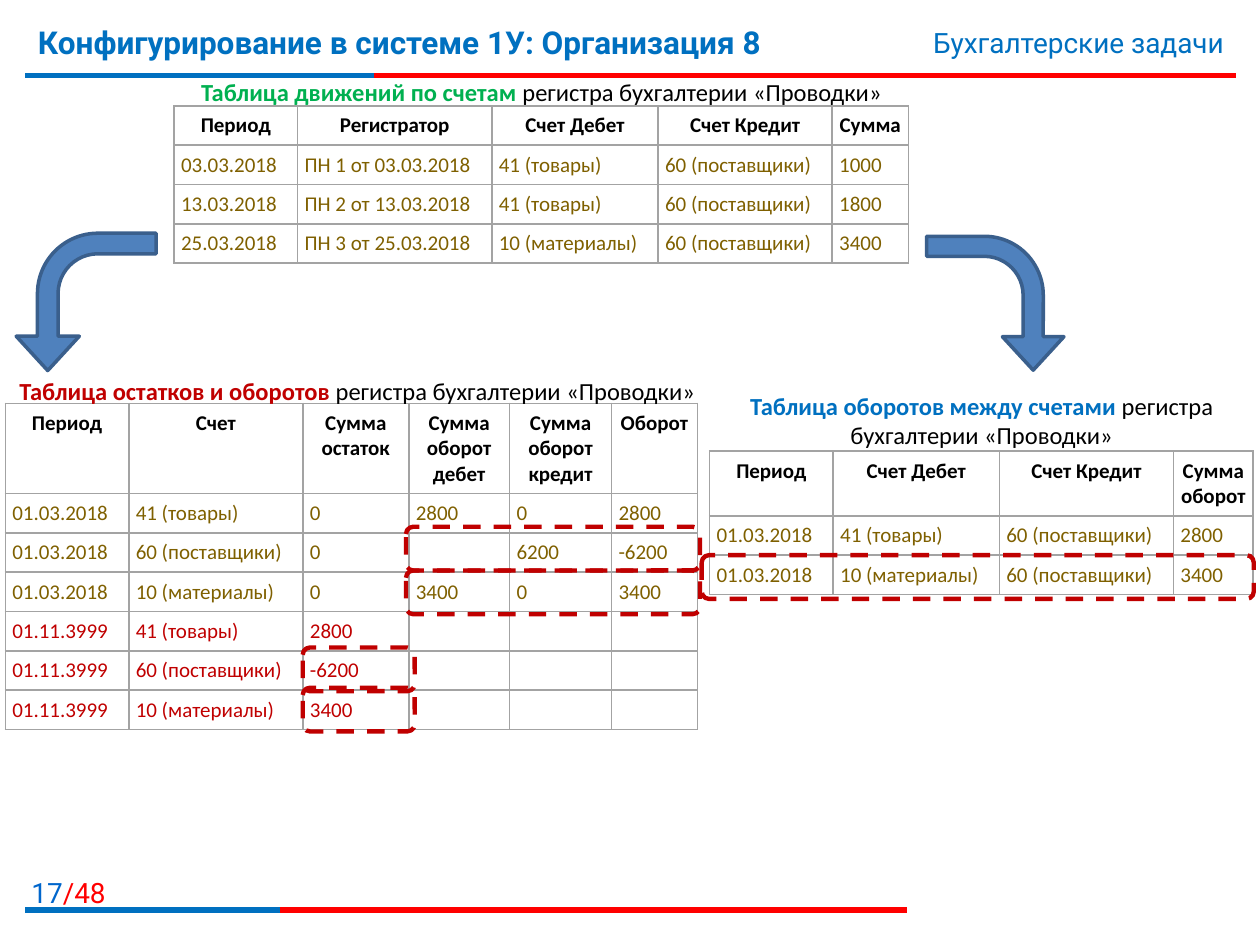
from lxml.etree import SubElement
from pptx import Presentation
from pptx.dml.color import RGBColor
from pptx.enum.dml import MSO_LINE
from pptx.enum.shapes import MSO_CONNECTOR, MSO_SHAPE
from pptx.enum.text import MSO_ANCHOR, MSO_AUTO_SIZE, PP_ALIGN
from pptx.oxml.ns import qn
from pptx.util import Pt

BLUE = RGBColor(0x00, 0x70, 0xC0)
PAGE_BLUE = RGBColor(0x00, 0x66, 0xCC)
RED = RGBColor(0xFF, 0x00, 0x00)
DARK_RED = RGBColor(0xC0, 0x00, 0x00)
GREEN = RGBColor(0x00, 0xB0, 0x50)
OLIVE = RGBColor(0x7F, 0x60, 0x00)
BLACK = RGBColor(0x00, 0x00, 0x00)
ARROW_FILL = RGBColor(0x4F, 0x81, 0xBD)
ARROW_LINE = RGBColor(0x3A, 0x5F, 0x8C)
BORDER = "A3A3A3"

ROW = 22.5
LINE = 14.5
PERIOD, DEBIT, CREDIT = 70.6, 95, 99.5


def set_font(font, name, size, color=None, bold=False):
    font.name, font.size, font.bold = name, Pt(size), bold
    if color is not None:
        font.color.rgb = color


def add_rule(slide, left, right, top, color):
    rule = slide.shapes.add_connector(
        MSO_CONNECTOR.STRAIGHT, Pt(left), Pt(top), Pt(right), Pt(top))
    rule.line.color.rgb = color
    rule.line.width = Pt(3)
    SubElement(rule._element.spPr, qn("a:effectLst"))


def add_text(slide, box, runs, name, size, align):
    frame = slide.shapes.add_textbox(*map(Pt, box)).text_frame
    frame.word_wrap = True
    paragraph = frame.paragraphs[0]
    paragraph.alignment = align
    set_font(paragraph.font, name, size)
    for words, color, bold in runs:
        run = paragraph.add_run()
        run.text = words
        run.font.color.rgb = color
        run.font.bold = bold


def add_header(slide, box):
    left, top, width, height = box
    title = slide.shapes.title
    title.left, title.top, title.width, title.height = map(
        Pt, (left, top, 533, height))
    frame = title.text_frame
    frame.text = "Конфигурирование в системе 1У: Организация 8"
    frame.vertical_anchor = MSO_ANCHOR.TOP
    frame.auto_size = MSO_AUTO_SIZE.NONE
    paragraph = frame.paragraphs[0]
    paragraph.alignment = PP_ALIGN.LEFT
    set_font(paragraph.font, "Roboto", 18, BLUE, True)
    add_text(slide, (left + width - 278, top + 1.5, 278, 27),
             [("Бухгалтерские задачи", BLUE, False)],
             "Roboto", 16, PP_ALIGN.RIGHT)
    add_rule(slide, left, left + width, 43, RED)
    add_rule(slide, left, left + 199, 43, BLUE)


def add_footer(slide, box):
    left, top, width, height = box
    add_text(slide, (left - 11, top, 64, height),
             [("17", PAGE_BLUE, False), ("/48", RED, False)],
             "Roboto", 16, PP_ALIGN.RIGHT)
    add_rule(slide, left, left + width, top + height, RED)
    add_rule(slide, left, left + 145.5, top + height, BLUE)


def format_cell(cell, words, color, is_header):
    cell.margin_left = cell.margin_right = Pt(4)
    cell.margin_top = cell.margin_bottom = Pt(4)
    properties = cell._tc.get_or_add_tcPr()
    for side in ("a:lnL", "a:lnR", "a:lnT", "a:lnB"):
        edge = SubElement(properties, qn(side), w=str(Pt(1)))
        edge_fill = SubElement(edge, qn("a:solidFill"))
        SubElement(edge_fill, qn("a:srgbClr"), val=BORDER)
    cell.fill.background()
    cell.text = words
    paragraph = cell.text_frame.paragraphs[0]
    paragraph.alignment = PP_ALIGN.CENTER if is_header else PP_ALIGN.LEFT
    set_font(paragraph.font, "Calibri", 12, color, is_header)
    if not words:
        SubElement(paragraph._p, qn("a:endParaRPr"), sz="1200")


def add_register(slide, left, top, widths, header_lines, rows, late_from=None):
    header_height = ROW + LINE * (header_lines - 1)
    heights = [header_height] + [ROW] * (len(rows) - 1)
    table = slide.shapes.add_table(
        len(rows), len(widths), Pt(left), Pt(top),
        Pt(sum(widths)), Pt(sum(heights))).table
    table.first_row = table.horz_banding = False
    for column, width in zip(table.columns, widths):
        column.width = Pt(width)
    for r, (row, height) in enumerate(zip(rows, heights)):
        table.rows[r].height = Pt(height)
        late = late_from is not None and r >= late_from
        color = BLACK if r == 0 else DARK_RED if late else OLIVE
        for c, words in enumerate(row):
            format_cell(table.cell(r, c), words, color, r == 0)


def add_caption(slide, box, name, rest, color):
    add_text(slide, box, [(name, color, True), (rest, BLACK, False)],
             "Calibri", 14, PP_ALIGN.CENTER)


def add_arrow(slide, box, flips):
    arrow = slide.shapes.add_shape(MSO_SHAPE.BENT_ARROW, *map(Pt, box))
    for i, value in enumerate((0.15, 0.23, 0.25, 0.44)):
        arrow.adjustments[i] = value
    arrow.rotation = 270
    for flip in flips:
        arrow._element.spPr.xfrm.set(flip, "1")
    arrow.shadow.inherit = False
    arrow.fill.solid()
    arrow.fill.fore_color.rgb = ARROW_FILL
    arrow.line.color.rgb = ARROW_LINE
    arrow.line.width = Pt(2)


def add_highlight(slide, left, top, width):
    mark = slide.shapes.add_shape(
        MSO_SHAPE.ROUNDED_RECTANGLE, Pt(left), Pt(top), Pt(width), Pt(25))
    mark.shadow.inherit = False
    mark.fill.background()
    mark.line.color.rgb = DARK_RED
    mark.line.width = Pt(2.5)
    mark.line.dash_style = MSO_LINE.DASH


def add_movements(slide, left, top):
    add_register(slide, left, top, (PERIOD, 111, DEBIT, CREDIT, 43.5), 1, [
        ("Период", "Регистратор", "Счет Дебет", "Счет Кредит", "Сумма"),
        ("03.03.2018", "ПН 1 от 03.03.2018", "41 (товары)", "60 (поставщики)", "1000"),
        ("13.03.2018", "ПН 2 от 13.03.2018", "41 (товары)", "60 (поставщики)", "1800"),
        ("25.03.2018", "ПН 3 от 25.03.2018", "10 (материалы)", "60 (поставщики)", "3400"),
    ])
    add_caption(slide, (left + 0.5, top - 20, 419, 24.5), "Таблица движений по счетам ",
                "регистра бухгалтерии «Проводки»", GREEN)


def add_balances(slide, left, top):
    add_register(slide, left, top, (PERIOD, CREDIT, 60.5, 57.6, 58.3, 49), 3, [
        ("Период", "Счет", "Сумма остаток", "Сумма оборот дебет",
         "Сумма оборот кредит", "Оборот"),
        ("01.03.2018", "41 (товары)", "0", "2800", "0", "2800"),
        ("01.03.2018", "60 (поставщики)", "0", "", "6200", "-6200"),
        ("01.03.2018", "10 (материалы)", "0", "3400", "0", "3400"),
        ("01.11.3999", "41 (товары)", "2800", "", "", ""),
        ("01.11.3999", "60 (поставщики)", "-6200", "", "", ""),
        ("01.11.3999", "10 (материалы)", "3400", "", "", ""),
    ], late_from=4)
    add_caption(slide, (left, top - 19, 402.5, 24.5), "Таблица остатков и оборотов",
                " регистра бухгалтерии «Проводки»", DARK_RED)
    for x, y, width in ((229, 70.5, 168), (229, 95.5, 168),
                        (170, 139.5, 64), (170, 162.5, 64)):
        add_highlight(slide, left + x, top + y, width)


def add_turnovers(slide, left, top):
    add_register(slide, left, top, (PERIOD, DEBIT, CREDIT, 45.5), 2, [
        ("Период", "Счет Дебет", "Счет Кредит", "Сумма оборот"),
        ("01.03.2018", "41 (товары)", "60 (поставщики)", "2800"),
        ("01.03.2018", "10 (материалы)", "60 (поставщики)", "3400"),
    ])
    add_caption(slide, (left, top - 38, 311, 42), "Таблица оборотов между счетами",
                " регистра бухгалтерии «Проводки»", BLUE)
    add_highlight(slide, left - 4.5, top + 59.5, 315.5)


def main():
    deck = Presentation()
    deck.slide_width, deck.slide_height = Pt(720), Pt(540)
    slide = deck.slides.add_slide(deck.slide_layouts[5])
    add_header(slide, (14.5, 9.5, 692, 44.5))
    add_footer(slide, (14.5, 497, 504, 23))
    add_turnovers(slide, 405.5, 257.75)
    add_balances(slide, 3, 230.5)
    add_movements(slide, 99.5, 60.5)
    add_arrow(slide, (10, 132.5, 78.5, 80), ["flipH"])
    add_arrow(slide, (530.5, 134, 76.5, 78.5), ["flipH", "flipV"])
    deck.save("out.pptx")


if __name__ == "__main__":
    main()
